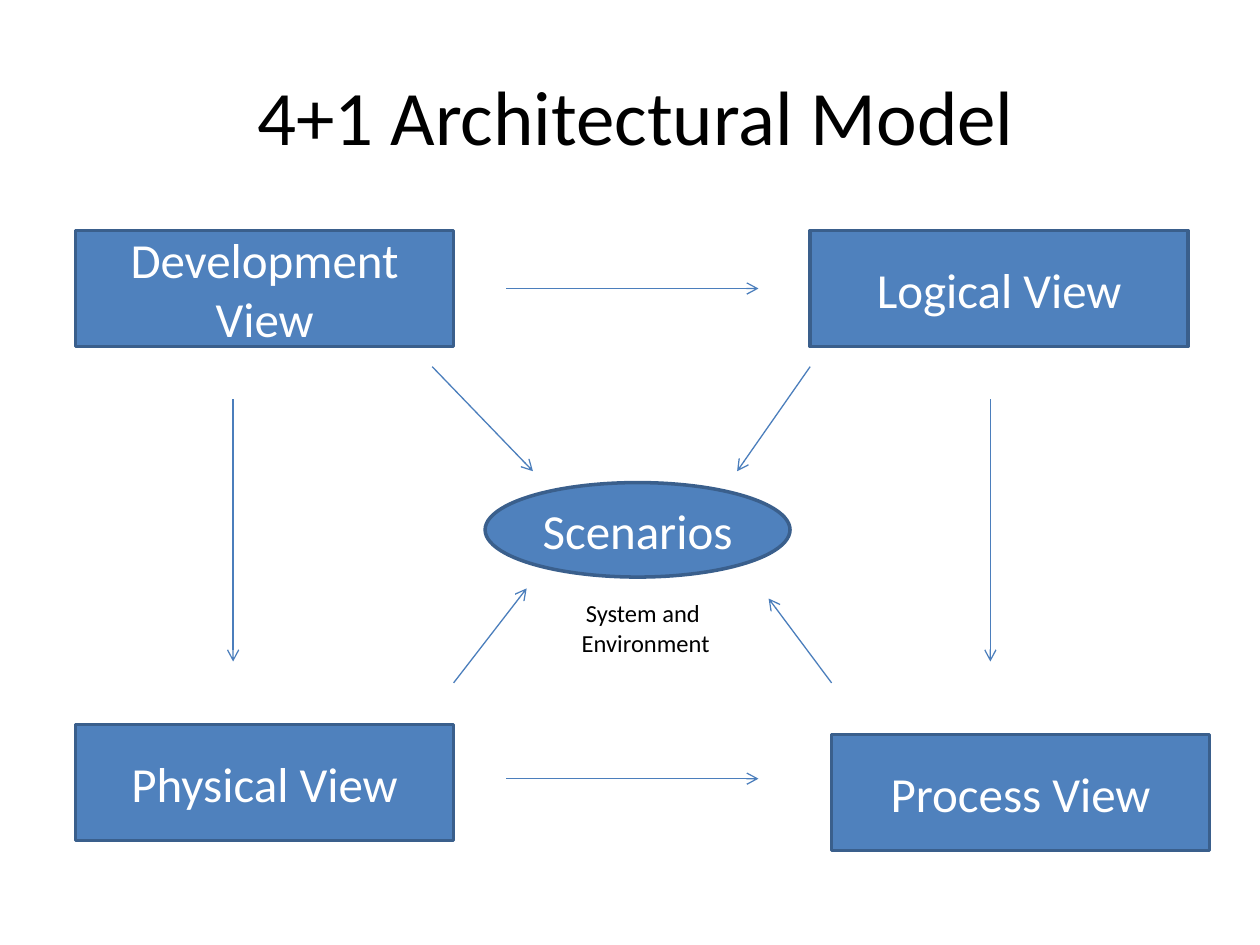
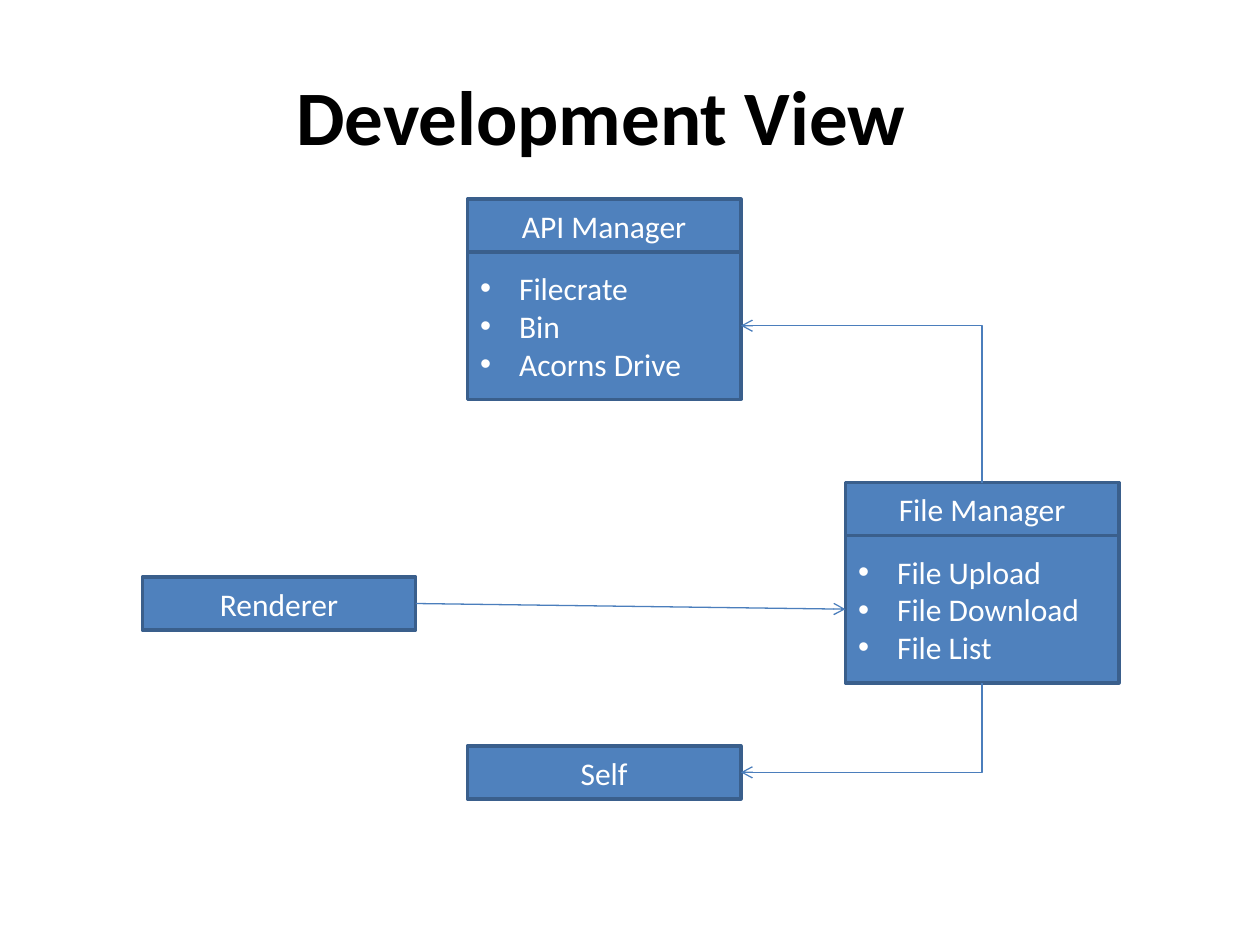
from dataclasses import dataclass
from typing import Any

from lxml.etree import SubElement
from pptx import Presentation
from pptx.dml.color import RGBColor
from pptx.enum.shapes import MSO_CONNECTOR, MSO_SHAPE
from pptx.enum.text import MSO_ANCHOR, MSO_AUTO_SIZE, PP_ALIGN
from pptx.oxml.ns import qn
from pptx.util import Inches, Pt

# Shared look
BOX_FILL = RGBColor(0x4F, 0x81, 0xBD)
BOX_LINE = RGBColor(0x3A, 0x5F, 0x8C)
ARROW = RGBColor(0x4B, 0x7E, 0xBC)
WHITE = RGBColor(0xFF, 0xFF, 0xFF)
BLACK = RGBColor(0x00, 0x00, 0x00)
FONT = "Calibri"
TITLE_ONLY, TWO_CONTENT = 5, 3
TOP, LEFT, BOTTOM, RIGHT = range(4)  # connection sites of a rectangle

TITLE_FRAME = {"word_wrap": True, "auto_size": MSO_AUTO_SIZE.NONE,
               "vertical_anchor": MSO_ANCHOR.TOP}
BOX_FRAME = {**TITLE_FRAME, "vertical_anchor": MSO_ANCHOR.MIDDLE}
NOTE_FRAME = {"word_wrap": False, "auto_size": MSO_AUTO_SIZE.SHAPE_TO_FIT_TEXT}


@dataclass
class Box:
    text: str
    left: float
    top: float
    width: float
    height: float
    size: int
    kind: MSO_SHAPE = MSO_SHAPE.RECTANGLE


@dataclass
class Arrow:
    x1: float
    y1: float
    x2: float
    y2: float


def set_attrs(target: Any, values: dict) -> None:
    for name, value in values.items():
        setattr(target, name, value)


def place(s: Any, left: float, top: float, width: float, height: float) -> None:
    at = {"left": left, "top": top, "width": width, "height": height}
    set_attrs(s, {name: Inches(value) for name, value in at.items()})


def write(s: Any, lines: list[str], size: int, color: RGBColor,
          align: PP_ALIGN, frame: dict, bold: bool = False) -> None:
    tf = s.text_frame
    set_attrs(tf, frame)
    for i, line in enumerate(lines):
        p = tf.add_paragraph() if i else tf.paragraphs[0]
        set_attrs(p, {"alignment": align, "space_before": Pt(0)})
        r = p.add_run()
        r.text = line
        set_attrs(r.font, {"name": FONT, "size": Pt(size), "bold": bold})
        r.font.color.rgb = color


def paint(s: Any) -> None:
    s.shadow.inherit = False
    s.fill.solid()
    s.fill.fore_color.rgb = BOX_FILL
    s.line.color.rgb = BOX_LINE
    s.line.width = Pt(2)


def add_title(slide: Any, text: str, left: float, width: float,
              bold: bool = False) -> None:
    place(slide.shapes.title, left, 0.49, width, 0.84)
    write(slide.shapes.title, [text], 44, BLACK, PP_ALIGN.LEFT, TITLE_FRAME, bold)


def add_box(slide: Any, box: Box) -> Any:
    s = slide.shapes.add_shape(box.kind, 0, 0, 0, 0)
    place(s, box.left, box.top, box.width, box.height)
    paint(s)
    write(s, [box.text], box.size, WHITE, PP_ALIGN.CENTER, BOX_FRAME)
    return s


def fill_list(s: Any, items: list[str], left: float, top: float) -> None:
    place(s, left, top, CLASS_W, LIST_H)
    paint(s)
    write(s, items, 18, WHITE, PP_ALIGN.LEFT, BOX_FRAME)
    for p in s.text_frame.paragraphs:
        pPr = p._p.get_or_add_pPr()
        pPr.set("marL", str(Inches(0.31)))
        pPr.set("indent", str(-Inches(0.31)))


def add_arrow(slide: Any, arrow: Arrow, kind: MSO_CONNECTOR = MSO_CONNECTOR.STRAIGHT,
              end: str = "tailEnd") -> Any:
    ends = (Inches(v) for v in (arrow.x1, arrow.y1, arrow.x2, arrow.y2))
    c = slide.shapes.add_connector(kind, *ends)
    c.line.color.rgb = ARROW
    c.line.width = Pt(0.75)
    SubElement(c.line._get_or_add_ln(), qn("a:" + end), type="arrow")
    SubElement(c._element.spPr, qn("a:effectLst"))
    return c


def join(slide: Any, a: Any, a_site: int, b: Any, b_site: int, **style: Any) -> Any:
    c = add_arrow(slide, Arrow(0, 0, 0, 0), **style)
    c.begin_connect(a, a_site)
    c.end_connect(b, b_site)
    return c


def join_corner(slide: Any, target: Any, source: Any, source_site: int) -> None:
    """One-corner link, arrowhead at the target's right side."""
    c = join(slide, target, RIGHT, source, source_site,
             kind=MSO_CONNECTOR.ELBOW, end="headEnd")
    c._element.spPr.find(qn("a:prstGeom")).set("prst", "bentConnector2")


prs = Presentation()
prs.slide_width, prs.slide_height = Inches(10), Inches(7.5)

# Slide 1: the four views around the scenarios
VIEW_W, VIEW_H = 3, 0.92
VIEWS = [("Physical View", 0.6, 5.75), ("Logical View", 6.43, 1.83),
         ("Development View", 0.6, 1.83), ("Process View", 6.6, 5.83)]
ARROWS = [
    *(Arrow(x, 3.17, x, 5.25) for x in (7.86, 1.85)),
    *(Arrow(4.02, y, 6.02, y) for y in (2.29, 6.18)),
    Arrow(3.43, 2.91, 4.23, 3.74), Arrow(3.6, 5.42, 4.18, 4.67),
    Arrow(6.6, 5.42, 6.1, 4.75), Arrow(6.43, 2.91, 5.85, 3.74),
]

slide = prs.slides.add_slide(prs.slide_layouts[TITLE_ONLY])
add_title(slide, "4+1 Architectural Model", 1.94, 6.38)
add_box(slide, Box("Scenarios", 3.85, 3.83, 2.42, 0.75, 28, MSO_SHAPE.OVAL))
for text, left, top in VIEWS:
    add_box(slide, Box(text, left, top, VIEW_W, VIEW_H, 28))
for arrow in ARROWS:
    add_arrow(slide, arrow)
note = slide.shapes.add_textbox(0, 0, 0, 0)
place(note, 4.51, 4.7, 1.23, 0.57)
write(note, ["System and ", "Environment"], 14, BLACK, PP_ALIGN.CENTER, NOTE_FRAME)

# Slide 2: modules, two of them with a list below the header
CLASS_W, HEAD_H, LIST_H = 2.17, 0.42, 1.17
MODULES = {"API Manager": (3.71, 1.58), "File Manager": (6.71, 3.83),
           "Self": (3.71, 5.92), "Renderer": (1.13, 4.58)}
LISTS = {"API Manager": ["Filecrate", "Bin", "Acorns Drive"],
         "File Manager": ["File Upload", "File Download", "File List"]}

slide = prs.slides.add_slide(prs.slide_layouts[TWO_CONTENT])
add_title(slide, "Development View", 2.25, 5.22, bold=True)
heads = {name: add_box(slide, Box(name, left, top, CLASS_W, HEAD_H, 18))
         for name, (left, top) in MODULES.items()}
lists = dict(zip(LISTS, (slide.placeholders[1], slide.placeholders[2])))
for name, items in LISTS.items():
    left, top = MODULES[name]
    fill_list(lists[name], items, left, top + HEAD_H)

# Links between modules
file_list = lists["File Manager"]
join(slide, heads["Renderer"], RIGHT, file_list, LEFT)
join_corner(slide, lists["API Manager"], heads["File Manager"], TOP)
join_corner(slide, heads["Self"], file_list, BOTTOM)

prs.save("out.pptx")
